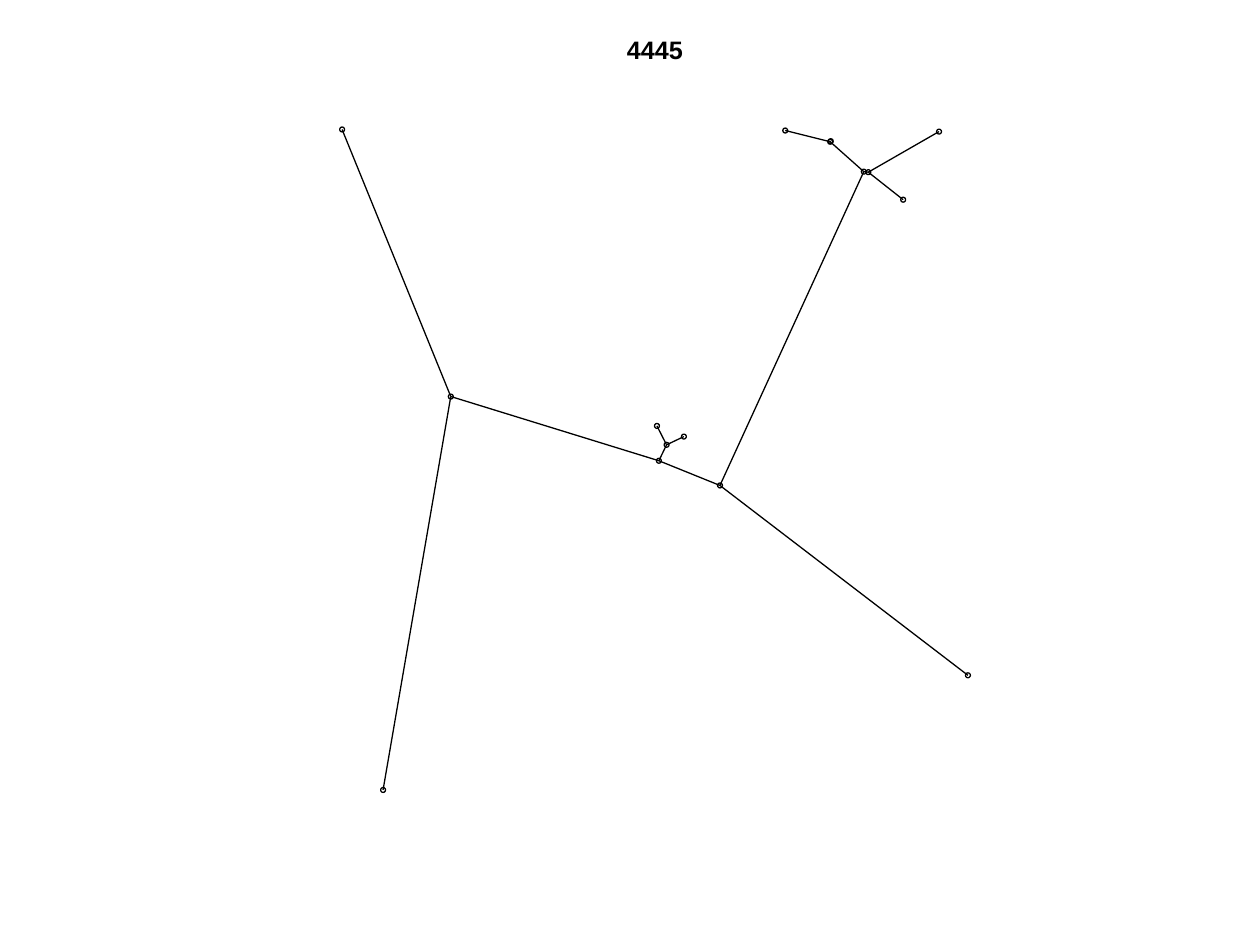
from dataclasses import dataclass

from lxml.etree import SubElement
from pptx import Presentation
from pptx.dml.color import RGBColor
from pptx.enum.shapes import MSO_CONNECTOR, MSO_SHAPE
from pptx.enum.text import MSO_ANCHOR, MSO_AUTO_SIZE, PP_ALIGN
from pptx.oxml.ns import qn
from pptx.util import Pt


@dataclass(frozen=True)
class Theme:
    paper: RGBColor = RGBColor(255, 255, 255)
    ink: RGBColor = RGBColor(0, 0, 0)
    font: str = "Arial"
    title: float = 14.4
    line: float = 0.75
    dot: float = 2.8


WIDTH, HEIGHT = 720, 540

# Tree nodes: centre of each dot, in points
NODES = {
    "west tip": (195.5, 74),
    "west hub": (257.6, 226.6),
    "south tip": (218.9, 451.4),
    "mid hub": (376.5, 263.3),
    "twig hub": (380.9, 254.2),
    "twig left": (375.4, 243.4),
    "twig right": (390.8, 249.5),
    "east hub": (411.4, 277.4),
    "east tip": (553.1, 385.9),
    "north hub": (493.6, 98.1),
    "fork": (496.2, 98.4),
    "fork low": (516.1, 114.1),
    "fork high": (536.6, 75.2),
    "bend": (474.4, 81),
    "bend twin": (474.7, 80.7),
    "north tip": (448.7, 74.6),
}

# Tree branches: chains of nodes joined one to the next
CHAINS = [
    ("west tip", "west hub", "mid hub", "east hub", "north hub", "fork", "fork high"),
    ("south tip", "west hub"),
    ("mid hub", "twig hub", "twig left"),
    ("twig hub", "twig right"),
    ("east hub", "east tip"),
    ("fork", "fork low"),
    ("north hub", "bend", "north tip"),
    ("bend", "bend twin"),
]


def write(frame, text, *, font, size, color, bold=False, align=PP_ALIGN.CENTER):
    """Put one line of formatted text in a frame without margins."""
    frame.margin_left = frame.margin_right = 0
    frame.margin_top = frame.margin_bottom = 0
    frame.word_wrap = False
    frame.auto_size = MSO_AUTO_SIZE.NONE
    frame.vertical_anchor = MSO_ANCHOR.MIDDLE
    frame.text = text
    para = frame.paragraphs[0]
    para.alignment = align
    para.line_spacing = Pt(size)
    face = para.runs[0].font
    face.name, face.size, face.bold = font, Pt(size), bold
    face.color.rgb = color


class Plot:
    """Holds the theme and the current slide."""

    def __init__(self, theme, slide):
        self.theme = theme
        self.slide = slide

    def stroke(self, item, color):
        item.line.color.rgb = color
        item.line.width = Pt(self.theme.line)

    def shape(self, kind, x, y, w, h, line):
        item = self.slide.shapes.add_shape(kind, Pt(x), Pt(y), Pt(w), Pt(h))
        item.shadow.inherit = False
        item.fill.background()
        self.stroke(item, line)
        return item

    def panel(self, w, h):
        sheet = self.shape(MSO_SHAPE.RECTANGLE, 0, 0, w, h, self.theme.paper)
        sheet.fill.solid()
        sheet.fill.fore_color.rgb = self.theme.paper
        # Keep the sheet behind the title
        self.slide.shapes.title._element.addprevious(sheet._element)

    def title(self, text, x, y, w, h):
        box = self.slide.shapes.title
        box.left, box.top, box.width, box.height = Pt(x), Pt(y), Pt(w), Pt(h)
        write(box.text_frame, text, font=self.theme.font,
              size=self.theme.title, color=self.theme.ink, bold=True)

    def edge(self, start, end):
        line = self.slide.shapes.add_connector(
            MSO_CONNECTOR.STRAIGHT, *map(Pt, start + end))
        self.stroke(line, self.theme.ink)
        SubElement(line._element.spPr, qn("a:effectLst"))

    def dot(self, x, y):
        size = self.theme.dot
        self.shape(MSO_SHAPE.OVAL, x - size / 2, y - size / 2, size, size,
                   self.theme.ink)


def main():
    deck = Presentation()
    deck.slide_width, deck.slide_height = Pt(WIDTH), Pt(HEIGHT)
    plot = Plot(Theme(), deck.slides.add_slide(deck.slide_layouts[5]))

    # White sheet and heading
    plot.panel(WIDTH, HEIGHT)
    plot.title("4445", 357.3, 24.5, 34, 10.8)

    # Branches
    for chain in CHAINS:
        for start, end in zip(chain, chain[1:]):
            plot.edge(NODES[start], NODES[end])

    # Nodes on top
    for x, y in NODES.values():
        plot.dot(x, y)

    deck.save("out.pptx")


if __name__ == "__main__":
    main()
